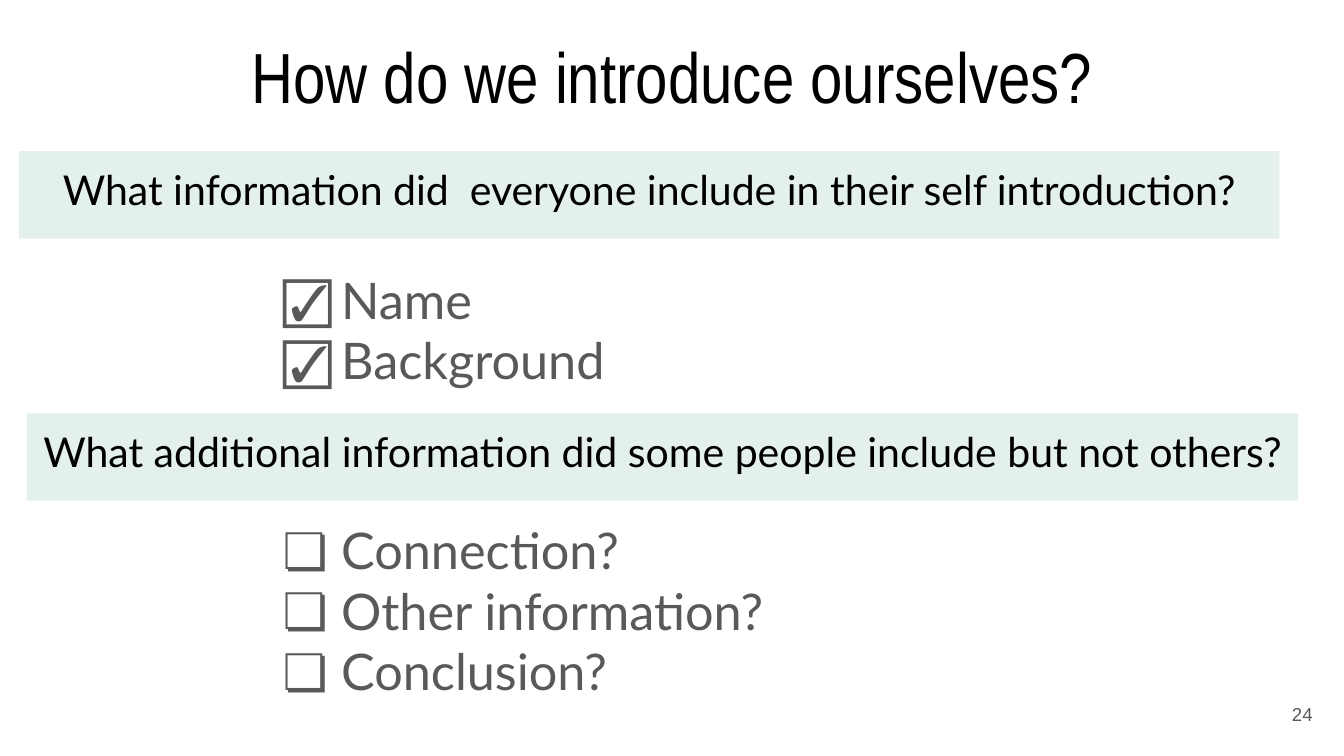
from dataclasses import dataclass

from lxml.etree import SubElement
from pptx import Presentation
from pptx.dml.color import RGBColor as RGB
from pptx.enum.shapes import MSO_SHAPE as Shape
from pptx.enum.text import MSO_ANCHOR as Anchor, MSO_AUTO_SIZE as AutoSize, PP_ALIGN as Align
from pptx.oxml.ns import qn
from pptx.util import Pt

PX = 4572  # EMU per px, 200 px to the inch
INSET = 20


@dataclass(frozen=True)
class Theme:
    ink: RGB = RGB(0x00, 0x00, 0x00)
    grey: RGB = RGB(0x59, 0x59, 0x59)
    green: RGB = RGB(0x4C, 0xA1, 0x73)
    green_alpha: int = 15
    title_font: str = "Arial Narrow"
    body_font: str = "Lato"
    number_font: str = "Arial"
    title_size: int = 38
    question_size: int = 22
    answer_size: int = 27
    number_size: int = 10


THEME = Theme()


def px(*lengths):
    return [length * PX for length in lengths]


def prepare_frame(frame, anchor=Anchor.TOP):
    frame.word_wrap = True
    frame.vertical_anchor = anchor
    frame.margin_left = frame.margin_right = INSET * PX
    frame.margin_top = frame.margin_bottom = INSET * PX


def add_words(paragraph, words, font, size, color, align=Align.LEFT):
    paragraph.alignment = align
    run = paragraph.add_run()
    run.text = words
    run.font.name = font
    run.font.size = Pt(size)
    run.font.color.rgb = color


def add_label(slide, box, words, font, size, color, align):
    label = slide.shapes.add_textbox(*px(*box))
    prepare_frame(label.text_frame, Anchor.MIDDLE)
    add_words(label.text_frame.paragraphs[0], words, font, size, color, align)


def add_question(slide, box, question):
    band = slide.shapes.add_shape(Shape.RECTANGLE, *px(*box))
    band.shadow.inherit = False
    band.line.fill.background()
    band.fill.solid()
    band.fill.fore_color.rgb = THEME.green
    tint = band.fill._xPr.find(qn("a:solidFill"))[0]
    SubElement(tint, qn("a:alpha"), val=str(THEME.green_alpha * 1000))
    prepare_frame(band.text_frame)
    add_words(band.text_frame.paragraphs[0], question, THEME.body_font,
              THEME.question_size, THEME.ink, Align.CENTER)


def add_bullet(paragraph, mark):
    props = paragraph._p.get_or_add_pPr()
    props.set("marL", str(100 * PX))
    props.set("indent", str(-87 * PX))
    color = SubElement(props, qn("a:buClr"))
    SubElement(color, qn("a:srgbClr"), val=str(THEME.grey))
    SubElement(props, qn("a:buFont"), typeface=THEME.body_font)
    SubElement(props, qn("a:buChar"), char=mark)


def add_checklist(slide, box, mark, answers, auto_size=AutoSize.NONE):
    checklist = slide.shapes.add_textbox(*px(*box))
    frame = checklist.text_frame
    prepare_frame(frame)
    frame.auto_size = auto_size
    for index, answer in enumerate(answers):
        paragraph = frame.add_paragraph() if index else frame.paragraphs[0]
        add_bullet(paragraph, mark)
        add_words(paragraph, answer, THEME.body_font, THEME.answer_size, THEME.grey)


def main():
    deck = Presentation()
    deck.slide_width, deck.slide_height = px(2000, 1125)
    slide = deck.slides.add_slide(deck.slide_layouts[6])

    # Title
    add_label(slide, (68, 20, 1864, 184), "How do we introduce ourselves?",
              THEME.title_font, THEME.title_size, THEME.ink, Align.CENTER)

    # What everyone included
    add_question(slide, (28, 225, 1876, 130),
                 "What information did  everyone include in their self introduction?")
    add_checklist(slide, (388, 380, 866, 222), "☑", ["Name", "Background"])

    # What only some people included
    add_checklist(slide, (388, 753, 886, 314), "❏",
                  ["Connection?", "Other information?", "Conclusion?"],
                  AutoSize.SHAPE_TO_FIT_TEXT)
    add_question(slide, (40, 615, 1892, 130),
                 "What additional information did some people include but not others?")

    # Slide number
    add_label(slide, (1853, 1020, 120, 86), "24", THEME.number_font,
              THEME.number_size, THEME.grey, Align.RIGHT)

    deck.save("out.pptx")


if __name__ == "__main__":
    main()
